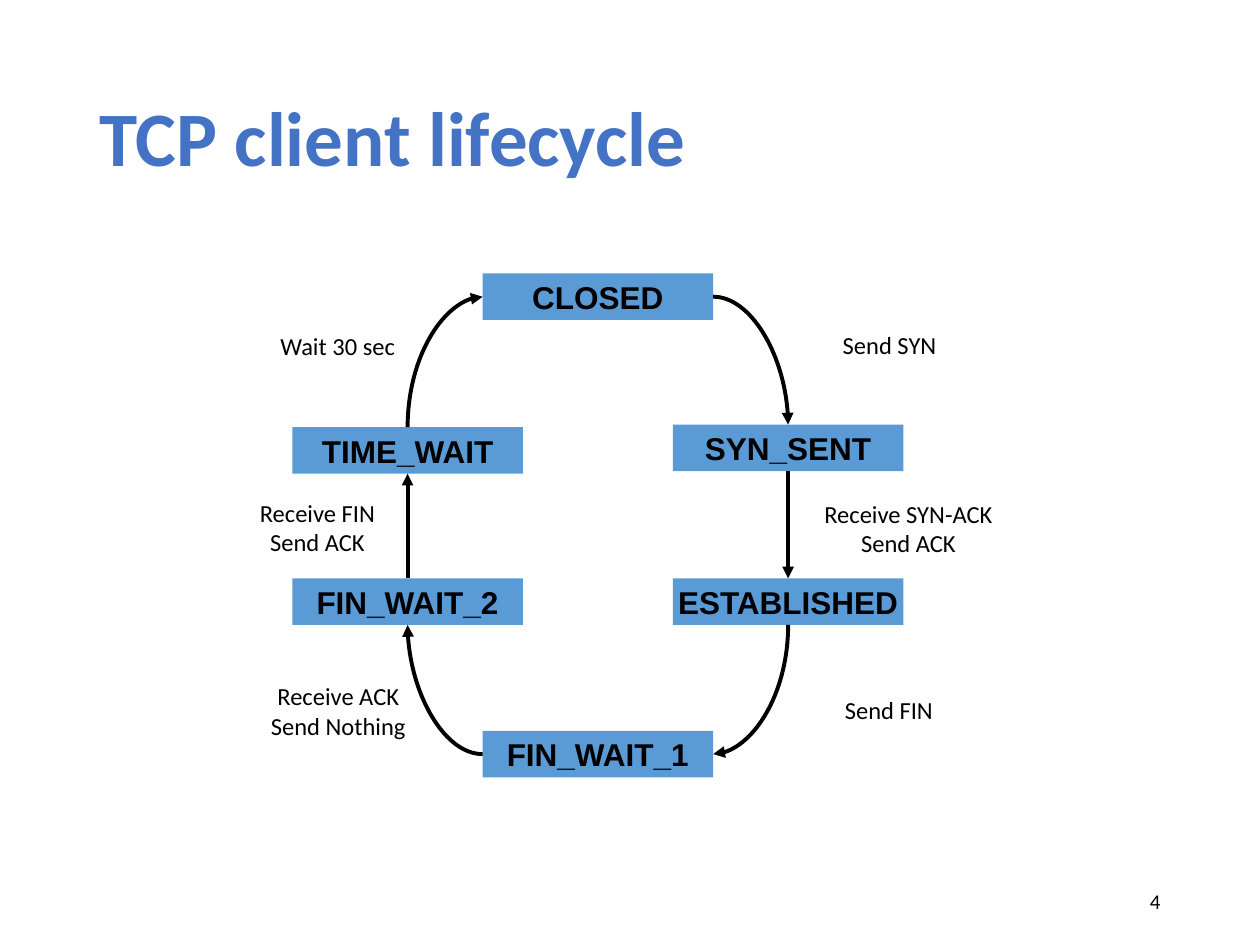
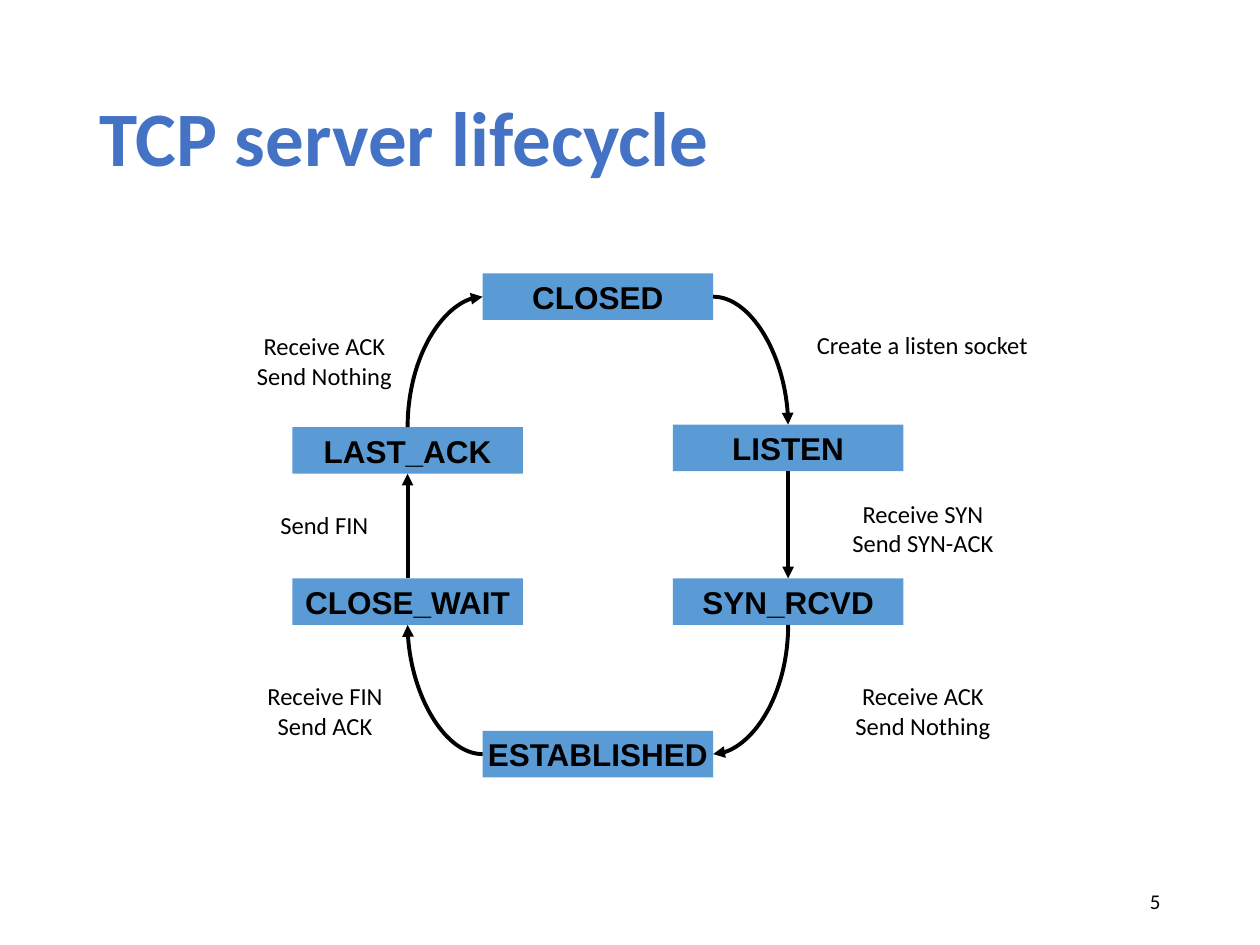
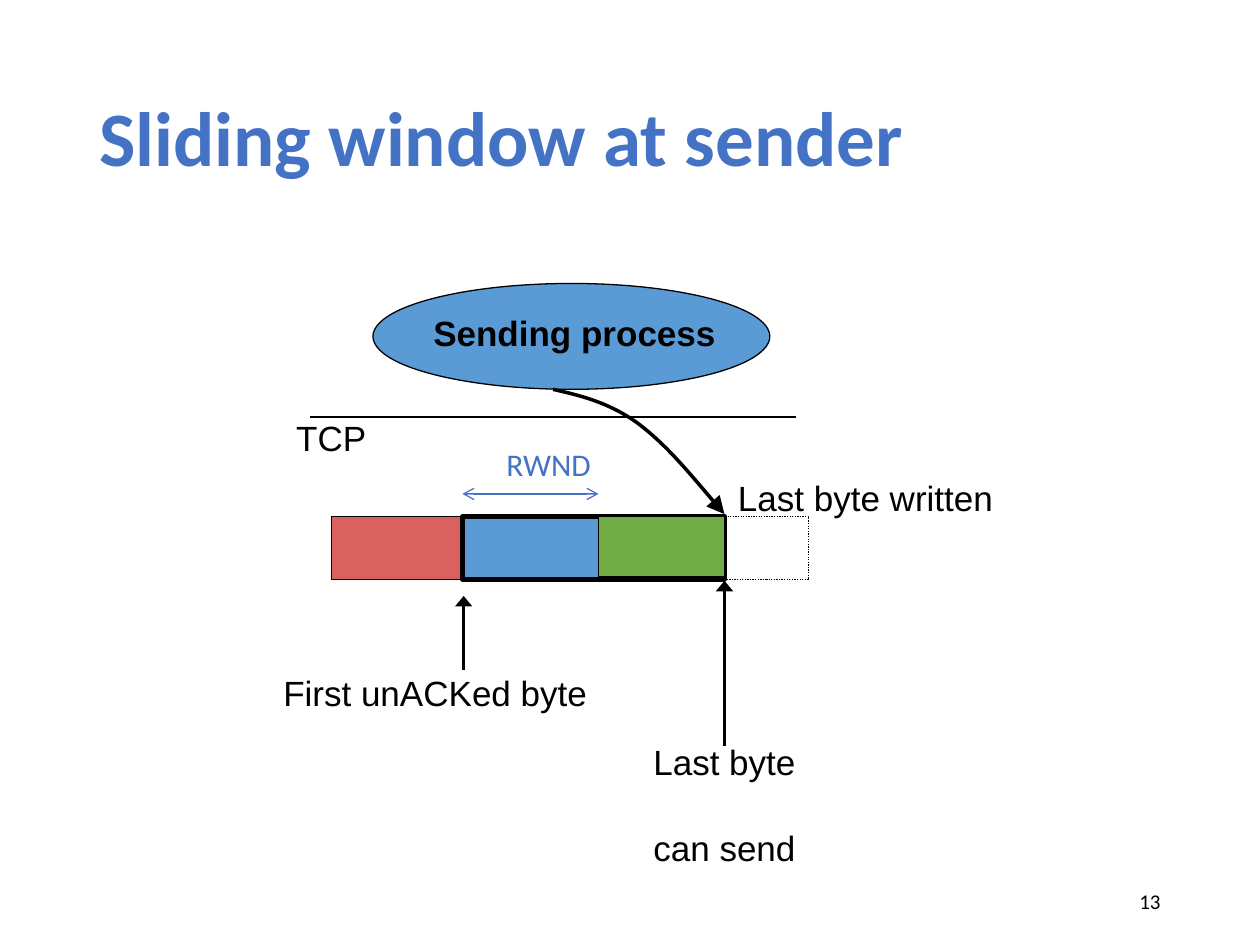
from lxml.etree import SubElement
from pptx import Presentation
from pptx.dml.color import RGBColor
from pptx.enum.dml import MSO_LINE
from pptx.enum.shapes import MSO_CONNECTOR as CONNECTOR, MSO_SHAPE as SHAPE
from pptx.enum.text import MSO_ANCHOR as ANCHOR, MSO_AUTO_SIZE as AUTO_SIZE, PP_ALIGN as ALIGN
from pptx.oxml.ns import qn
from pptx.util import Inches, Pt

COLORS = {
    "title": "4472C4",
    "state": "5B9BD5",
    "acked": "D9615F",
    "unsent": "70AD47",
    "ink": "000000",
}
TOP, LEFT, BOTTOM, RIGHT = range(4)
STATE_WIDTH, STATE_HEIGHT = 1.83, 0.37
# Clockwise from the top of the cycle
STATE_SPOTS = [(3.83, 2.17), (5.34, 3.37), (5.34, 4.59),
               (3.83, 5.8), (2.32, 4.59), (2.32, 3.39)]

CLIENT_STATES = ["CLOSED", "SYN_SENT", "ESTABLISHED", "FIN_WAIT_1", "FIN_WAIT_2", "TIME_WAIT"]
CLIENT_EVENTS = [
    (6.5, 2.57, 1.12, ["Send SYN"]),
    (6.29, 3.91, 1.84, ["Receive SYN-ACK", "Send ACK"]),
    (6.54, 5.47, 1.03, ["Send FIN"]),
    (1.99, 5.36, 1.39, ["Receive ACK", "Send Nothing"]),
    (1.88, 3.9, 1.28, ["Receive FIN", "Send ACK"]),
    (2.07, 2.58, 1.22, ["Wait 30 sec"]),
]
SERVER_STATES = ["CLOSED", "LISTEN", "SYN_RCVD", "ESTABLISHED", "CLOSE_WAIT", "LAST_ACK"]
SERVER_EVENTS = [
    (6.28, 2.57, 2.08, ["Create a listen socket"]),
    (6.53, 3.91, 1.59, ["Receive SYN", "Send SYN-ACK"]),
    (6.63, 5.36, 1.39, ["Receive ACK", "Send Nothing"]),
    (1.94, 5.36, 1.28, ["Receive FIN", "Send ACK"]),
    (2.06, 4, 1.03, ["Send FIN"]),
    (1.88, 2.58, 1.39, ["Receive ACK", "Send Nothing"]),
]


def rgb(name):
    return RGBColor.from_string(COLORS[name])


def write(shape, lines, size, font="Arial", color="ink", bold=False, align=ALIGN.CENTER,
          wrap=False, anchor=ANCHOR.TOP):
    """Fill the shape with one paragraph per line and return the paragraphs."""
    frame = shape.text_frame
    frame.text = "\n".join(lines)
    frame.word_wrap = wrap
    frame.vertical_anchor = anchor
    for paragraph in frame.paragraphs:
        paragraph.alignment = align
        paragraph.font.name = font
        paragraph.font.size = Pt(size)
        paragraph.font.bold = bold
        paragraph.font.color.rgb = rgb(color)
    return frame.paragraphs


def add_text(slide, left, top, width, height, lines, size, **style):
    box = slide.shapes.add_textbox(Inches(left), Inches(top), Inches(width), Inches(height))
    box.text_frame.auto_size = AUTO_SIZE.NONE
    return write(box, lines, size, **style)


def add_block(slide, kind, left, top, width, height, fill=None, line_width=0, dash=None):
    block = slide.shapes.add_shape(kind, Inches(left), Inches(top), Inches(width), Inches(height))
    block.shadow.inherit = False
    if fill:
        block.fill.solid()
        block.fill.fore_color.rgb = rgb(fill)
    else:
        block.fill.background()
    if line_width:
        block.line.color.rgb = rgb("ink")
        block.line.width = Pt(line_width)
        block.line.dash_style = dash
    else:
        block.line.fill.background()
    return block


def style_line(shape, width, color="ink", head=None, tail=None, arrow_width="med",
               arrow_length="med"):
    """Set line colour, width and arrowheads (head at the start, tail at the end)."""
    shape.line.color.rgb = rgb(color)
    shape.line.width = Pt(width)
    outline = shape.line._get_or_add_ln()
    for tag, arrow in (("a:headEnd", head), ("a:tailEnd", tail)):
        if arrow:
            SubElement(outline, qn(tag), type=arrow, w=arrow_width, len=arrow_length)


def add_line(slide, start, end, width, kind=CONNECTOR.STRAIGHT, **style):
    connector = slide.shapes.add_connector(kind, *map(Inches, (*start, *end)))
    style_line(connector, width, **style)
    SubElement(connector._element.spPr, qn("a:effectLst"))
    return connector


def add_bend(slide, start, end, quarter_turns):
    """Draw a clockwise quarter bend; the basic one leaves rightwards and arrives downwards."""
    center_x, center_y = (start[0] + end[0]) / 2, (start[1] + end[1]) / 2
    half_width, half_height = abs(end[0] - start[0]) / 2, abs(end[1] - start[1]) / 2
    if quarter_turns % 2:
        half_width, half_height = half_height, half_width
    bend = add_line(slide, (center_x - half_width, center_y - half_height),
                    (center_x + half_width, center_y + half_height), 2.25,
                    kind=CONNECTOR.CURVE, tail="triangle")
    properties = bend._element.spPr
    properties.find(qn("a:prstGeom")).set("prst", "curvedConnector2")
    properties.find(qn("a:xfrm")).set("rot", str(quarter_turns * 90 * 60000))


def add_curve(slide, points, width, **style):
    """Draw cubic curves through points: a start, then two controls and an end per curve."""
    # The builder rounds coordinates to whole units, so it is given EMU rather than inches.
    start, *others = [(Inches(x), Inches(y)) for x, y in points]
    builder = slide.shapes.build_freeform(*start)
    builder.add_line_segments(others, close=False)
    curve = builder.convert_to_shape()
    curve.shadow.inherit = False
    curve.fill.background()
    style_line(curve, width, **style)
    segments = list(curve._element.iter(qn("a:lnTo")))
    for first in range(0, len(segments), 3):
        bezier = SubElement(segments[first].getparent(), qn("a:cubicBezTo"))
        for segment in segments[first:first + 3]:
            bezier.append(segment[0])
            segment.getparent().remove(segment)


def add_slide(presentation, title, number):
    slide = presentation.slides.add_slide(presentation.slide_layouts[6])
    heading = add_text(slide, 0.69, 0.4, 8.62, 1.45, [title], 44, font="Calibri", color="title",
                       bold=True, align=ALIGN.LEFT, wrap=True, anchor=ANCHOR.MIDDLE)
    heading[0].line_spacing = 0.9
    add_text(slide, 7.06, 6.95, 2.25, 0.4, [str(number)], 12, font="Calibri",
             align=ALIGN.RIGHT, wrap=True, anchor=ANCHOR.MIDDLE)
    return slide


def side_middle(spot, side):
    left, top = spot
    return (left + {LEFT: 0, RIGHT: STATE_WIDTH}.get(side, STATE_WIDTH / 2),
            top + {TOP: 0, BOTTOM: STATE_HEIGHT}.get(side, STATE_HEIGHT / 2))


def add_lifecycle(slide, states, events):
    boxes = []
    for name, spot in zip(states, STATE_SPOTS):
        box = add_block(slide, SHAPE.RECTANGLE, *spot, STATE_WIDTH, STATE_HEIGHT, fill="state")
        write(box, [name], 18, bold=True, anchor=ANCHOR.MIDDLE)
        boxes.append(box)

    bends = [(0, RIGHT, 1, TOP), (2, BOTTOM, 3, RIGHT), (3, LEFT, 4, BOTTOM), (5, TOP, 0, LEFT)]
    for turns, (source, source_side, target, target_side) in enumerate(bends):
        add_bend(slide, side_middle(STATE_SPOTS[source], source_side),
                 side_middle(STATE_SPOTS[target], target_side), turns)
    for source, source_side, target, target_side in [(1, BOTTOM, 2, TOP), (4, TOP, 5, BOTTOM)]:
        arrow = add_line(slide, side_middle(STATE_SPOTS[source], source_side),
                         side_middle(STATE_SPOTS[target], target_side), 2.25, tail="triangle")
        arrow.begin_connect(boxes[source], source_side)
        arrow.end_connect(boxes[target], target_side)

    for left, top, width, lines in events:
        height = 0.34 if len(lines) == 1 else 0.57
        add_text(slide, left, top, width, height, lines, 14, font="Calibri")


def add_sliding_window(slide):
    add_block(slide, SHAPE.OVAL, 2.96, 2.25, 3.15, 0.84, fill="state", line_width=0.75)
    add_text(slide, 3.34, 2.42, 2.44, 0.43, ["Sending process"], 20, bold=True)
    add_line(slide, (2.46, 3.31), (6.32, 3.31), 0.75)

    add_block(slide, SHAPE.RECTANGLE, 2.63, 4.1, 1.05, 0.5, fill="acked", line_width=0.75)
    add_block(slide, SHAPE.RECTANGLE, 3.67, 4.1, 2.08, 0.5, fill="state", line_width=2.5)
    add_block(slide, SHAPE.RECTANGLE, 5.75, 4.1, 0.67, 0.5, line_width=0.75,
              dash=MSO_LINE.ROUND_DOT)
    add_curve(slide, [(4.39, 3.09), (4.61, 3.14), (4.82, 3.19), (5.05, 3.35),
                      (5.28, 3.52), (5.51, 3.8), (5.75, 4.08)], 2,
              tail="triangle", arrow_width="lg", arrow_length="lg")
    for x, bottom, top in [(3.68, 5.32, 4.73), (5.75, 5.92, 4.61)]:
        add_line(slide, (x, bottom), (x, top), 1.5, tail="triangle", arrow_width="lg")

    add_text(slide, 2.14, 5.28, 2.63, 0.44, ["First unACKed byte"], 20)
    can_send = add_text(slide, 5.08, 5.83, 1.34, 0.77, ["Last byte", "can send"], 20)
    can_send[1].space_before = Pt(25)
    add_text(slide, 2.25, 3.26, 0.76, 0.43, ["TCP"], 20)
    add_text(slide, 5.75, 3.73, 2.24, 0.44, ["Last byte written"], 20)
    add_text(slide, 3.92, 3.48, 0.88, 0.4, ["RWND"], 18, font="Calibri", color="title",
             align=ALIGN.LEFT)
    add_line(slide, (3.67, 3.92), (4.75, 3.92), 0.75, color="title", head="arrow", tail="arrow")
    add_block(slide, SHAPE.RECTANGLE, 4.75, 4.1, 1, 0.48, fill="unsent", line_width=0.75)


def main():
    presentation = Presentation()
    presentation.slide_width, presentation.slide_height = Inches(10), Inches(7.5)
    add_lifecycle(add_slide(presentation, "TCP client lifecycle", 4), CLIENT_STATES, CLIENT_EVENTS)
    add_lifecycle(add_slide(presentation, "TCP server lifecycle", 5), SERVER_STATES, SERVER_EVENTS)
    add_sliding_window(add_slide(presentation, "Sliding window at sender", 13))
    presentation.save("out.pptx")


if __name__ == "__main__":
    main()
